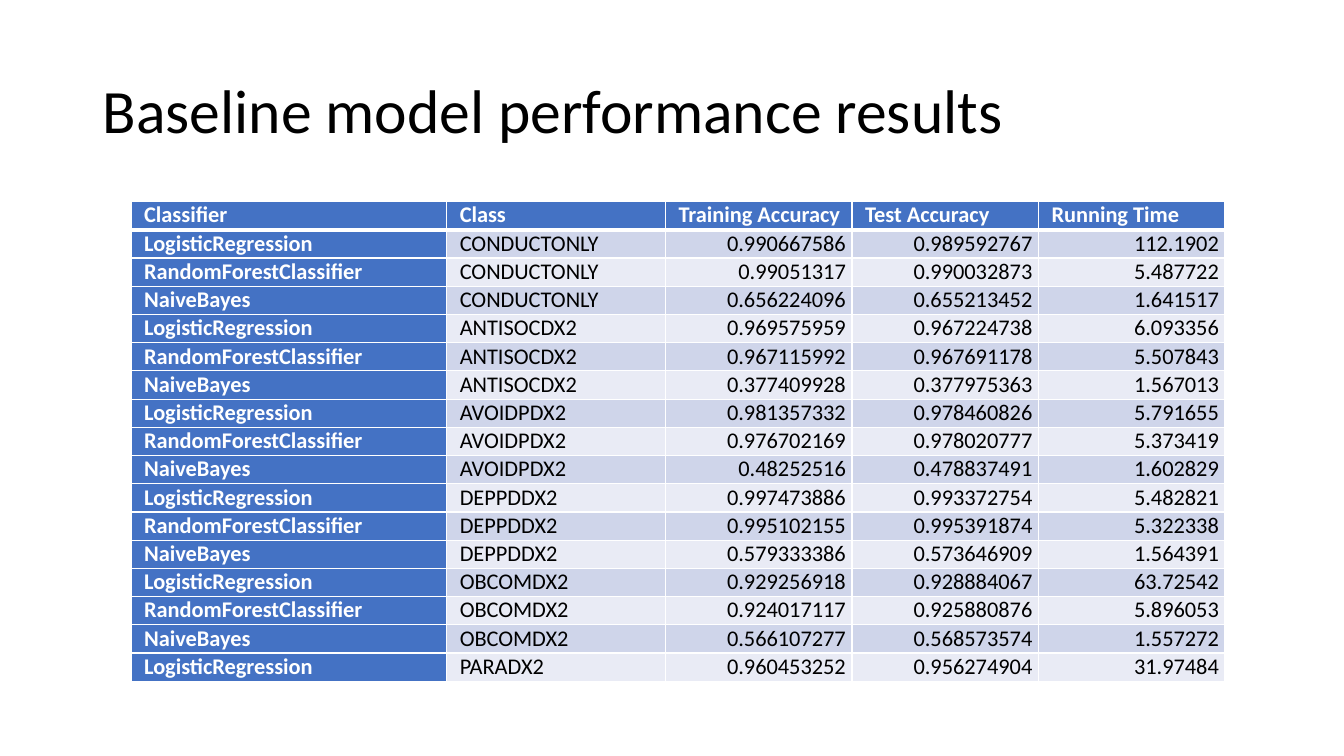
"""Build the slide with the table of baseline model results."""

import dataclasses
import itertools

import lxml.etree
import pptx
import pptx.dml.color
import pptx.enum.text
import pptx.oxml.ns
import pptx.slide
import pptx.table
import pptx.util

PX = 9144
FONT = "Calibri"
WHITE = pptx.dml.color.RGBColor(0xFF, 0xFF, 0xFF)
BLACK = pptx.dml.color.RGBColor(0x00, 0x00, 0x00)
BLUE = pptx.dml.color.RGBColor(0x44, 0x72, 0xC4)
DARK = pptx.dml.color.RGBColor(0xCF, 0xD5, 0xEA)
LIGHT = pptx.dml.color.RGBColor(0xE9, 0xEB, 0xF5)

LEFT = pptx.enum.text.PP_ALIGN.LEFT
RIGHT = pptx.enum.text.PP_ALIGN.RIGHT


@dataclasses.dataclass(frozen=True)
class Column:
    head: str
    width: int
    align: pptx.enum.text.PP_ALIGN


@dataclasses.dataclass(frozen=True)
class Result:
    label: str
    train: str
    test: str
    time: str


@dataclasses.dataclass(frozen=True)
class Style:
    fill: pptx.dml.color.RGBColor
    ink: pptx.dml.color.RGBColor
    bold: bool
    align: pptx.enum.text.PP_ALIGN
    before: float
    after: float
    top: int
    bottom: int


COLUMNS = (
    Column("Classifier", 313, LEFT),
    Column("Class", 217, LEFT),
    Column("Training Accuracy", 185, RIGHT),
    Column("Test Accuracy", 185, RIGHT),
    Column("Running Time", 185, RIGHT),
)
MODELS = ("LogisticRegression", "RandomForestClassifier", "NaiveBayes")
RESULTS = (
    Result("CONDUCTONLY", "0.990667586", "0.989592767", "112.1902"),
    Result("CONDUCTONLY", "0.99051317", "0.990032873", "5.487722"),
    Result("CONDUCTONLY", "0.656224096", "0.655213452", "1.641517"),
    Result("ANTISOCDX2", "0.969575959", "0.967224738", "6.093356"),
    Result("ANTISOCDX2", "0.967115992", "0.967691178", "5.507843"),
    Result("ANTISOCDX2", "0.377409928", "0.377975363", "1.567013"),
    Result("AVOIDPDX2", "0.981357332", "0.978460826", "5.791655"),
    Result("AVOIDPDX2", "0.976702169", "0.978020777", "5.373419"),
    Result("AVOIDPDX2", "0.48252516", "0.478837491", "1.602829"),
    Result("DEPPDDX2", "0.997473886", "0.993372754", "5.482821"),
    Result("DEPPDDX2", "0.995102155", "0.995391874", "5.322338"),
    Result("DEPPDDX2", "0.579333386", "0.573646909", "1.564391"),
    Result("OBCOMDX2", "0.929256918", "0.928884067", "63.72542"),
    Result("OBCOMDX2", "0.924017117", "0.925880876", "5.896053"),
    Result("OBCOMDX2", "0.566107277", "0.568573574", "1.557272"),
    Result("PARADX2", "0.960453252", "0.956274904", "31.97484"),
)
ROW = 28


def px(size: int) -> pptx.util.Emu:
    return pptx.util.Emu(size * PX)


def add_edge(cell: pptx.table._Cell, side: str, width: int) -> None:
    qn = pptx.oxml.ns.qn
    props = cell._tc.get_or_add_tcPr()
    line = lxml.etree.SubElement(props, qn(f"a:ln{side}"), w=str(pptx.util.Pt(width)))
    fill = lxml.etree.SubElement(line, qn("a:solidFill"))
    lxml.etree.SubElement(fill, qn("a:srgbClr"), val=str(WHITE))


def pick_style(row: int, col: int) -> Style:
    if row == 0:
        return Style(BLUE, WHITE, True, LEFT, 3, 1.6, 1, 3)
    top = 3 if row == 1 else 1
    if col == 0:
        return Style(BLUE, WHITE, True, LEFT, 6, 12, top, 1)
    band = DARK if row % 2 else LIGHT
    return Style(band, BLACK, False, COLUMNS[col].align, 6, 12, top, 1)


def fill_cell(cell: pptx.table._Cell, text: str, style: Style) -> None:
    for side, width in (("L", 1), ("R", 1), ("T", style.top), ("B", style.bottom)):
        add_edge(cell, side, width)
    cell.fill.solid()
    cell.fill.fore_color.rgb = style.fill
    cell.margin_left = cell.margin_right = px(6)
    cell.margin_top = cell.margin_bottom = 0
    cell.text = text
    para = cell.text_frame.paragraphs[0]
    para.alignment = style.align
    para.space_before = pptx.util.Pt(style.before)
    para.space_after = pptx.util.Pt(style.after)
    props = para._p.get_or_add_pPr()
    props.set("marL", str(px(7)))
    props.set("indent", "0")
    font = para.font
    font.name = FONT
    font.size = pptx.util.Pt(16)
    font.bold = style.bold
    font.color.rgb = style.ink


def add_title(slide: pptx.slide.Slide, text: str) -> None:
    title = slide.shapes.title
    title.left, title.top = px(92), px(40)
    title.width, title.height = px(1150), px(145)
    frame = title.text_frame
    frame.text = text
    frame.vertical_anchor = pptx.enum.text.MSO_ANCHOR.MIDDLE
    para = frame.paragraphs[0]
    para.alignment = LEFT
    para.line_spacing = 0.9
    para.font.name = FONT
    para.font.size = pptx.util.Pt(44)
    para.font.color.rgb = BLACK


def add_results(slide: pptx.slide.Slide) -> None:
    rows = [tuple(col.head for col in COLUMNS)]
    for model, result in zip(itertools.cycle(MODELS), RESULTS):
        rows.append((model, *dataclasses.astuple(result)))
    width = sum(col.width for col in COLUMNS)
    frame = slide.shapes.add_table(
        len(rows), len(COLUMNS), px(130), px(200), px(width), px(ROW * len(rows))
    )
    table = frame.table
    table.first_col = True
    for spot, col in zip(table.columns, COLUMNS):
        spot.width = px(col.width)
    for i, texts in enumerate(rows):
        table.rows[i].height = px(ROW)
        for j, text in enumerate(texts):
            fill_cell(table.cell(i, j), text, pick_style(i, j))


def main() -> None:
    deck = pptx.Presentation()
    deck.slide_width, deck.slide_height = px(1333), px(750)
    slide = deck.slides.add_slide(deck.slide_layouts.get_by_name("Title Only"))
    add_title(slide, "Baseline model performance results")
    add_results(slide)
    deck.save("out.pptx")


if __name__ == "__main__":
    main()
